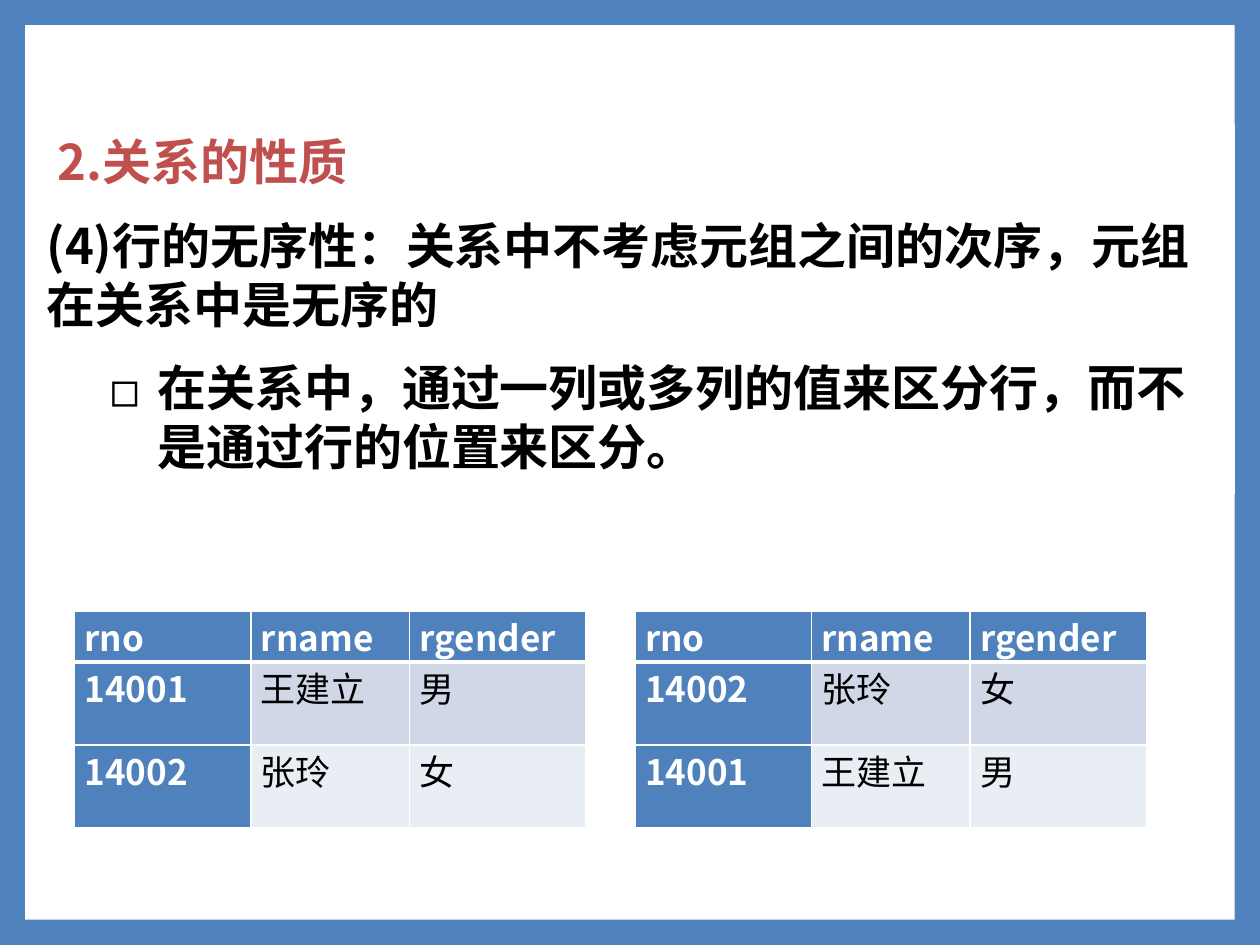
from lxml import etree
from pptx import Presentation
from pptx.dml.color import RGBColor
from pptx.enum.shapes import MSO_SHAPE
from pptx.enum.text import MSO_ANCHOR, MSO_AUTO_SIZE, PP_ALIGN
from pptx.oxml.ns import qn
from pptx.util import Inches, Pt

RECTANGLE = MSO_SHAPE.RECTANGLE
TOP = MSO_ANCHOR.TOP
LEFT = PP_ALIGN.LEFT
NO_AUTOFIT = MSO_AUTO_SIZE.NONE
FONT = "Noto Sans CJK SC"
BLUE, WHITE, BLACK, RED = "4F81BD", "FFFFFF", "000000", "C0504D"
ROW_FILLS = [BLUE, "D0D8E8", "E9EDF4"]
HEADER = ["rno", "rname", "rgender"]
WANG = ["14001", "王建立", "男"]
ZHANG = ["14002", "张玲", "女"]
COLUMN_WIDTHS = [1.4, 1.26, 1.4]
ROW_HEIGHTS = [0.38, 0.66, 0.66]


def paint(fill, color):
    """Give a fill one solid colour."""
    fill.solid()
    fill.fore_color.rgb = RGBColor.from_string(color)


def write(paragraph, text, size=28, color=BLACK, bold=True, before=0):
    """Write one formatted run in a paragraph."""
    paragraph.alignment = LEFT
    paragraph.space_before = Pt(before)
    run = paragraph.add_run()
    run.text = text
    run.font.size = Pt(size)
    run.font.bold = bold
    run.font.name = FONT
    run.font.color.rgb = RGBColor.from_string(color)
    etree.SubElement(run.font._element, qn("a:ea"), typeface=FONT)


def set_bullet(paragraph, margin=0, indent=0, char=None):
    """Set the indents and the bullet of a paragraph."""
    properties = paragraph._p.get_or_add_pPr()
    properties.set("marL", str(Inches(margin)))
    properties.set("indent", str(Inches(indent)))
    if char:
        etree.SubElement(properties, qn("a:buFont"), typeface=FONT)
        etree.SubElement(properties, qn("a:buChar"), char=char)
    else:
        etree.SubElement(properties, qn("a:buNone"))


def place(placeholder, top, height):
    """Move a placeholder into the text column and return its frame."""
    placeholder.left, placeholder.top = Inches(0.27), Inches(top)
    placeholder.width, placeholder.height = Inches(9.53), Inches(height)
    paint(placeholder.fill, WHITE)
    frame = placeholder.text_frame
    frame.word_wrap = True
    frame.auto_size = NO_AUTOFIT
    frame.vertical_anchor = TOP
    return frame


def add_panel(slide):
    """Lay the white panel behind the placeholders."""
    panel = slide.shapes.add_shape(
        RECTANGLE, Inches(0.2), Inches(0.2), Inches(9.6), Inches(7.1))
    panel.shadow.inherit = False
    paint(panel.fill, WHITE)
    panel.line.fill.background()
    slide.shapes.title.element.addprevious(panel.element)


def set_borders(cell, bottom):
    """Draw white borders round a cell."""
    properties = cell._tc.get_or_add_tcPr()
    for position, (side, width) in enumerate(
            [("lnL", 1), ("lnR", 1), ("lnT", 1), ("lnB", bottom)]):
        border = etree.Element(qn(f"a:{side}"), w=str(Pt(width)))
        solid = etree.SubElement(border, qn("a:solidFill"))
        etree.SubElement(solid, qn("a:srgbClr"), val=WHITE)
        properties.insert(position, border)


def add_relation(slide, left, rows):
    """Add a relation with a header row and a key column."""
    table = slide.shapes.add_table(
        len(rows), len(HEADER), Inches(left), Inches(4.85),
        Inches(sum(COLUMN_WIDTHS)), Inches(sum(ROW_HEIGHTS))).table
    for column, width in zip(table.columns, COLUMN_WIDTHS):
        column.width = Inches(width)
    for r, (values, height) in enumerate(zip(rows, ROW_HEIGHTS)):
        table.rows[r].height = Inches(height)
        for c, value in enumerate(values):
            cell = table.cell(r, c)
            heading = r == 0 or c == 0
            cell.margin_left = cell.margin_right = Inches(0.08)
            cell.margin_top = cell.margin_bottom = 0
            paint(cell.fill, BLUE if heading else ROW_FILLS[r])
            set_borders(cell, 3 if r == 0 else 1)
            write(cell.text_frame.paragraphs[0], value, size=20,
                  color=WHITE if heading else BLACK, bold=heading)


def main():
    """Build the slide on the properties of relations."""
    deck = Presentation()
    deck.slide_width, deck.slide_height = Inches(10), Inches(7.5)
    slide = deck.slides.add_slide(deck.slide_layouts[1])
    paint(slide.background.fill, BLUE)
    add_panel(slide)

    heading = place(slide.shapes.title, 0.99, 0.67)
    write(heading.paragraphs[0], " 2.关系的性质", color=RED)

    body = place(slide.placeholders[1], 1.66, 2.26)
    rule = body.paragraphs[0]
    set_bullet(rule)
    write(rule, "(4)行的无序性：关系中不考虑元组之间的次序，元组在关系中是无序的")
    detail = body.add_paragraph()
    detail.level = 1
    set_bullet(detail, 0.88, -0.38, "◻")
    write(detail, "在关系中，通过一列或多列的值来区分行，而不是通过行的位置来区分。",
          before=14)

    add_relation(slide, 0.59, [HEADER, WANG, ZHANG])
    add_relation(slide, 5.04, [HEADER, ZHANG, WANG])
    deck.save("out.pptx")


if __name__ == "__main__":
    main()
